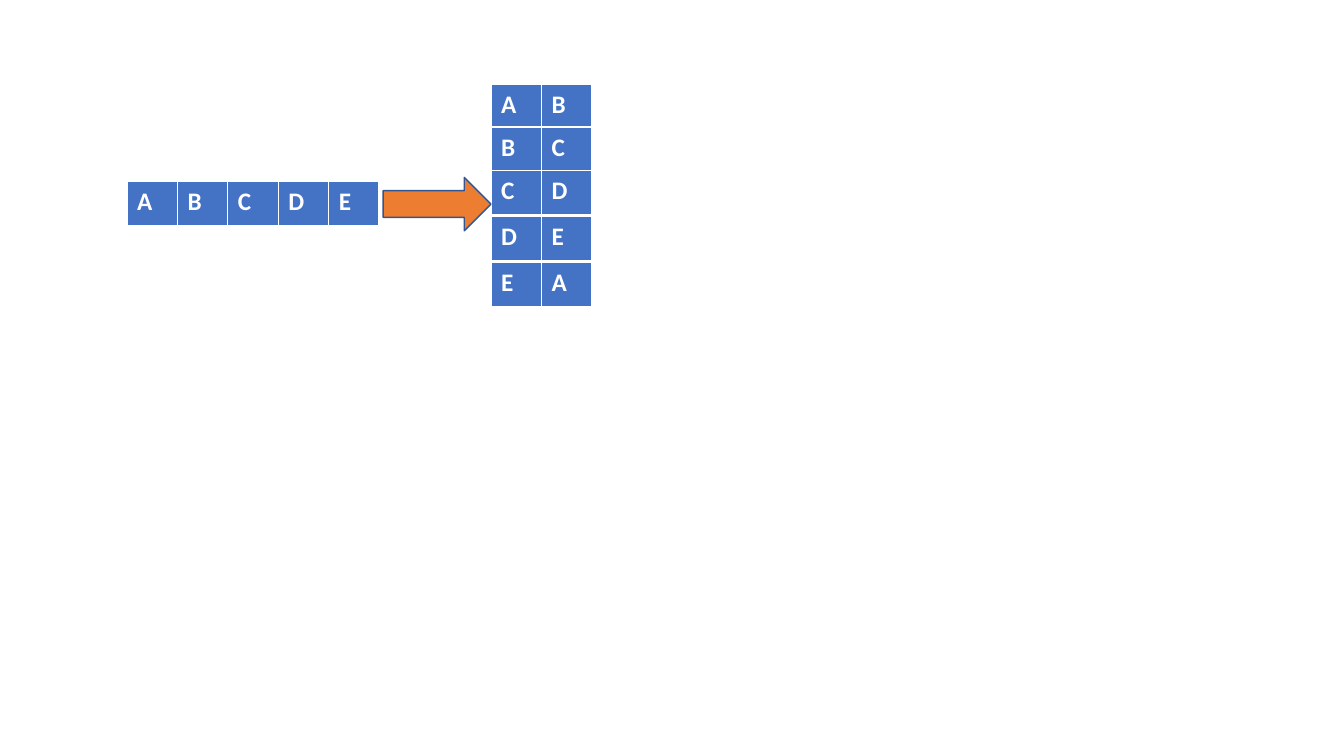
from dataclasses import dataclass

from lxml.etree import SubElement
from pptx import Presentation
from pptx.dml.color import RGBColor
from pptx.enum.shapes import MSO_SHAPE
from pptx.oxml.ns import qn
from pptx.util import Inches, Pt


@dataclass(frozen=True)
class Theme:
    font: str = "Calibri"
    size: int = 18
    text: str = "FFFFFF"
    cell: str = "4472C4"
    arrow: str = "ED7D31"
    edge: str = "325491"


theme = Theme()
SIDE = 0.5
HIGH = 0.45
BORDERS = {"lnL": 1, "lnR": 1, "lnT": 1, "lnB": 3}


def add_border(cell):
    props = cell._tc.get_or_add_tcPr()
    for name, width in BORDERS.items():
        line = SubElement(props, qn(f"a:{name}"), w=str(Pt(width)))
        fill = SubElement(line, qn("a:solidFill"))
        SubElement(fill, qn("a:srgbClr"), val=theme.text)


def add_strip(slide, left, top, letters):
    """Add a one-row table with one letter in each cell."""
    count = len(letters)
    table = slide.shapes.add_table(
        1, count, Inches(left), Inches(top), Inches(SIDE * count), Inches(HIGH)
    ).table
    for cell, letter in zip(table.iter_cells(), letters):
        add_border(cell)
        cell.fill.solid()
        cell.fill.fore_color.rgb = RGBColor.from_string(theme.cell)
        run = cell.text_frame.paragraphs[0].add_run()
        run.text = letter
        run.font.name = theme.font
        run.font.size = Pt(theme.size)
        run.font.bold = True
        run.font.color.rgb = RGBColor.from_string(theme.text)


deck = Presentation()
deck.slide_width = Inches(13.33)
deck.slide_height = Inches(7.5)
slide = deck.slides.add_slide(deck.slide_layouts[6])

# The list, then each letter paired with the next, wrapping at the end
letters = "ABCDE"
add_strip(slide, 1.26, 1.8, letters)
tops = [0.84, 1.26, 1.69, 2.15, 2.6]
for top, first, second in zip(tops, letters, letters[1:] + letters[0]):
    add_strip(slide, 4.87, top, first + second)

arrow = slide.shapes.add_shape(
    MSO_SHAPE.RIGHT_ARROW, Inches(3.8), Inches(1.76), Inches(1.07), Inches(0.53)
)
arrow.shadow.inherit = False
arrow.fill.solid()
arrow.fill.fore_color.rgb = RGBColor.from_string(theme.arrow)
arrow.line.color.rgb = RGBColor.from_string(theme.edge)
arrow.line.width = Pt(1)

deck.save("out.pptx")
